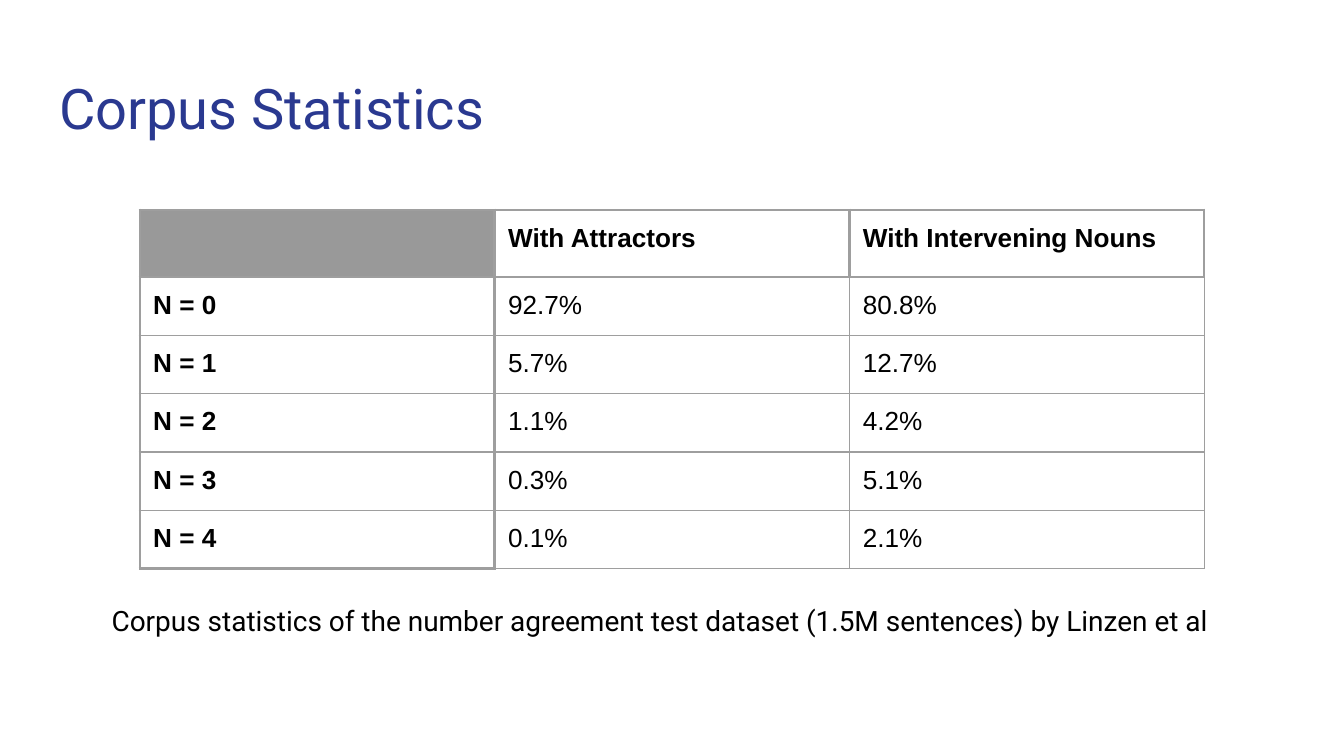
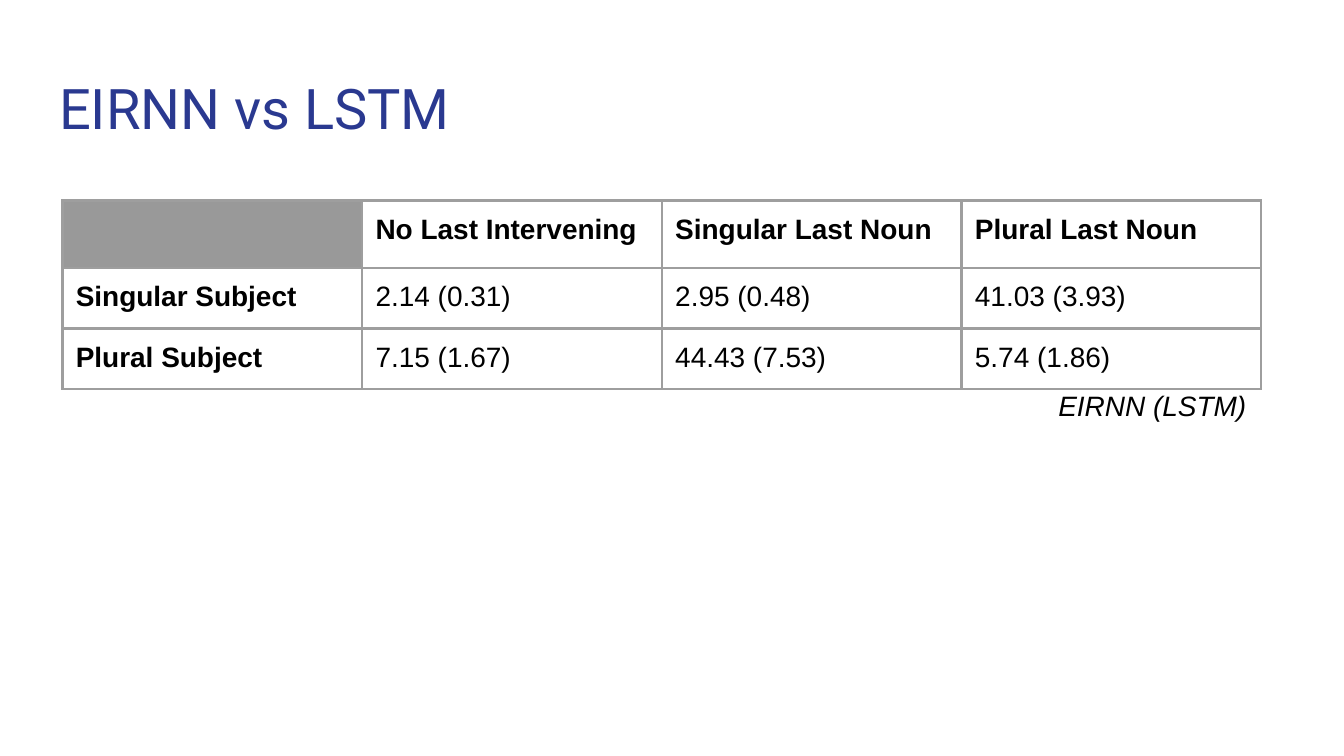
from dataclasses import dataclass

from lxml.etree import SubElement
from pptx import Presentation
from pptx.dml.color import RGBColor
from pptx.enum.text import MSO_ANCHOR, PP_ALIGN
from pptx.oxml.ns import qn
from pptx.util import Inches, Pt

# A 16:9 slide, 100 columns wide, with rows as high as a column is wide
WIDTH = Inches(10)
HEIGHT = WIDTH * 9 // 16
UNIT = WIDTH // 100

INDIGO = RGBColor(0x2A, 0x39, 0x90)
BLACK = RGBColor(0x00, 0x00, 0x00)
CORNER_GRAY = RGBColor(0x99, 0x99, 0x99)
BORDER_GRAY = RGBColor(0x9E, 0x9E, 0x9E)
TITLE_FONT, TABLE_FONT = "Roboto", "Arial"
INSET = UNIT
THICK, THIN = 1.5, 0.75
HEADER_HEIGHT = 4.8


@dataclass
class Box:
    """An area in grid columns and rows."""
    left: float
    top: float
    width: float
    height: float

    def lengths(self):
        return [round(length * UNIT)
                for length in (self.left, self.top, self.width, self.height)]


TITLE_BOX = Box(3.41, 4.5, 93.2, 6.6)


def write(frame, text, font=TABLE_FONT, size=15, color=BLACK, bold=False,
          italic=False, align=PP_ALIGN.LEFT):
    para = frame.paragraphs[0]
    para.alignment = align
    span = para.add_run()
    span.text = text
    span.font.name = font
    span.font.size = Pt(size)
    span.font.color.rgb = color
    span.font.bold = bold
    span.font.italic = italic


def add_text(page, box, text, **style):
    frame = page.shapes.add_textbox(*box.lengths()).text_frame
    frame.word_wrap = True
    frame.vertical_anchor = MSO_ANCHOR.TOP
    frame.margin_left = frame.margin_right = INSET
    frame.margin_top = frame.margin_bottom = INSET
    write(frame, text, **style)


def set_borders(cell, widths):
    """Draw the left, right, top and bottom borders, in that order."""
    properties = cell._tc.get_or_add_tcPr()
    for index, (side, width) in enumerate(zip("LRTB", widths)):
        line = SubElement(properties, qn(f"a:ln{side}"), w=str(Pt(width)))
        fill = SubElement(line, qn("a:solidFill"))
        SubElement(fill, qn("a:srgbClr"), val=str(BORDER_GRAY))
        properties.insert(index, line)


def border_widths(row, column, last_row, inner):
    """Thick lines surround the headings; inner lines separate the values."""
    thick_sides = (
        row == 0 or column <= 1,
        row == 0 or column == 0,
        row <= 1,
        row == 0 or (column == 0 and row == last_row),
    )
    return [THICK if thick else inner for thick in thick_sides]


def add_data_table(page, box, rows, size, inner):
    shape = page.shapes.add_table(len(rows), len(rows[0]), *box.lengths())
    table = shape.table
    table.first_row = table.horz_banding = False
    body_height = (box.height - HEADER_HEIGHT) / (len(rows) - 1)
    for row, values in enumerate(rows):
        height = body_height if row else HEADER_HEIGHT
        table.rows[row].height = round(height * UNIT)
        for column, value in enumerate(values):
            cell = table.cell(row, column)
            cell.margin_left = cell.margin_right = INSET
            cell.margin_top = cell.margin_bottom = INSET
            if value:
                cell.fill.background()
                write(cell.text_frame, value, size=size,
                      bold=row == 0 or column == 0)
            else:
                cell.fill.solid()
                cell.fill.fore_color.rgb = CORNER_GRAY
            set_borders(cell, border_widths(row, column, len(rows) - 1, inner))


def add_page(deck, title):
    page = deck.slides.add_slide(deck.slide_layouts[6])
    add_text(page, TITLE_BOX, title, font=TITLE_FONT, size=30, color=INDIGO)
    return page


def add_corpus_statistics(deck):
    page = add_page(deck, "Corpus Statistics")
    rows = [
        ("", "With Attractors", "With Intervening Nouns"),
        ("N = 0", "92.7%", "80.8%"),
        ("N = 1", "5.7%", "12.7%"),
        ("N = 2", "1.1%", "4.2%"),
        ("N = 3", "0.3%", "5.1%"),
        ("N = 4", "0.1%", "2.1%"),
    ]
    add_data_table(page, Box(10.4, 15.62, 79.2, 25.8), rows, size=14,
                   inner=THIN)
    add_text(page, Box(7.32, 43.9, 83.9, 5.2),
             "Corpus statistics of the number agreement test dataset "
             "(1.5M sentences) by Linzen et al", font=TITLE_FONT)


def add_model_comparison(deck):
    page = add_page(deck, "EIRNN vs LSTM")
    rows = [
        ("", "No Last Intervening", "Singular Last Noun", "Plural Last Noun"),
        ("Singular Subject", "2.14 (0.31)", "2.95 (0.48)", "41.03 (3.93)"),
        ("Plural Subject", "7.15 (1.67)", "44.43 (7.53)", "5.74 (1.86)"),
    ]
    add_data_table(page, Box(4.64, 14.93, 89.2, 13.4), rows, size=15,
                   inner=THICK)
    add_text(page, Box(55.13, 27.9, 38.6, 4.5), "EIRNN (LSTM)",
             italic=True, align=PP_ALIGN.RIGHT)


def main():
    deck = Presentation()
    deck.slide_width, deck.slide_height = WIDTH, HEIGHT
    add_corpus_statistics(deck)
    add_model_comparison(deck)
    deck.save("out.pptx")


if __name__ == "__main__":
    main()
